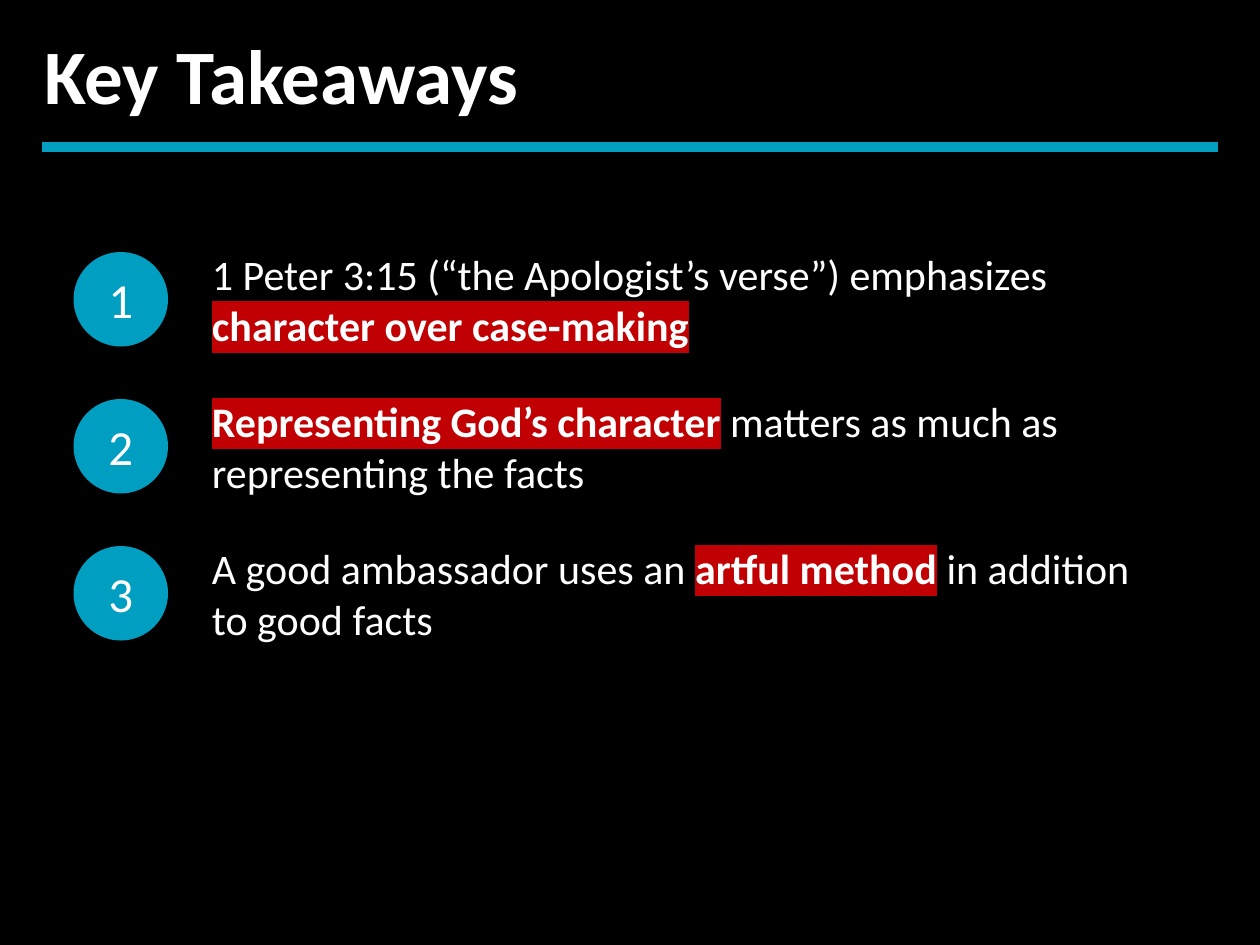
from lxml import etree
from pptx import Presentation
from pptx.dml.color import RGBColor
from pptx.enum.shapes import MSO_CONNECTOR, MSO_SHAPE
from pptx.enum.text import MSO_ANCHOR, MSO_AUTO_SIZE, PP_ALIGN
from pptx.oxml.ns import qn
from pptx.util import Inches, Pt

OVAL = MSO_SHAPE.OVAL
LINE = MSO_CONNECTOR.STRAIGHT
TOP, MID = MSO_ANCHOR.TOP, MSO_ANCHOR.MIDDLE
LEFT, MIDST = PP_ALIGN.LEFT, PP_ALIGN.CENTER
GROW = MSO_AUTO_SIZE.SHAPE_TO_FIT_TEXT

BLACK = RGBColor(0x00, 0x00, 0x00)
WHITE = RGBColor(0xFF, 0xFF, 0xFF)
TEAL = RGBColor(0x00, 0x9E, 0xC0)
RED = RGBColor(0xC0, 0x00, 0x02)

deck = Presentation()
deck.slide_width, deck.slide_height = Inches(10), Inches(7.5)
unit = deck.slide_width // 120


def grid(*cells):
    return [cell * unit for cell in cells]


def write(shape, *runs, size=24, align=LEFT, anchor=MID, bold=False):
    frame = shape.text_frame
    frame.word_wrap = True
    frame.vertical_anchor = anchor
    para = frame.paragraphs[0]
    para.alignment = align
    for text, marked in runs:
        run = para.add_run()
        run.text = text
        font = run.font
        font.size = Pt(size)
        font.bold = bold or marked
        font.color.rgb = WHITE
        if marked:
            mark = etree.SubElement(run._r.get_or_add_rPr(), qn("a:highlight"))
            etree.SubElement(mark, qn("a:srgbClr"), val=str(RED))
        font.name = "Calibri"


slide = deck.slides.add_slide(deck.slide_layouts[5])
back = slide.background.fill
back.solid()
back.fore_color.rgb = BLACK

title = slide.shapes.title
title.left, title.top, title.width, title.height = grid(3, 2, 113, 10)
write(title, ("Key Takeaways", False), size=44, anchor=TOP, bold=True)
title.text_frame.auto_size = GROW

rule = slide.shapes.add_connector(LINE, *grid(4, 14, 116, 14))
rule.line.color.rgb = TEAL
rule.line.width = Pt(6)
etree.SubElement(rule._element.spPr, qn("a:effectLst"))

points = [
    [("1 Peter 3:15 (“the Apologist’s verse”) emphasizes ", False),
     ("character over case-making", True)],
    [("Representing God’s character", True),
     (" matters as much as representing the facts", False)],
    [("A good ambassador uses an ", False),
     ("artful method", True),
     (" in addition to good facts", False)],
]

for row, runs in enumerate(points):
    top = 24 + 14 * row
    group = slide.shapes.add_group_shape()
    disc = group.shapes.add_shape(OVAL, *grid(7, top, 9, 9))
    disc.shadow.inherit = False
    disc.fill.solid()
    disc.fill.fore_color.rgb = TEAL
    disc.line.fill.background()
    write(disc, (str(row + 1), False), size=28, align=MIDST)
    box = group.shapes.add_textbox(*grid(19, top, 93, 9))
    write(box, *runs)

deck.save("out.pptx")
